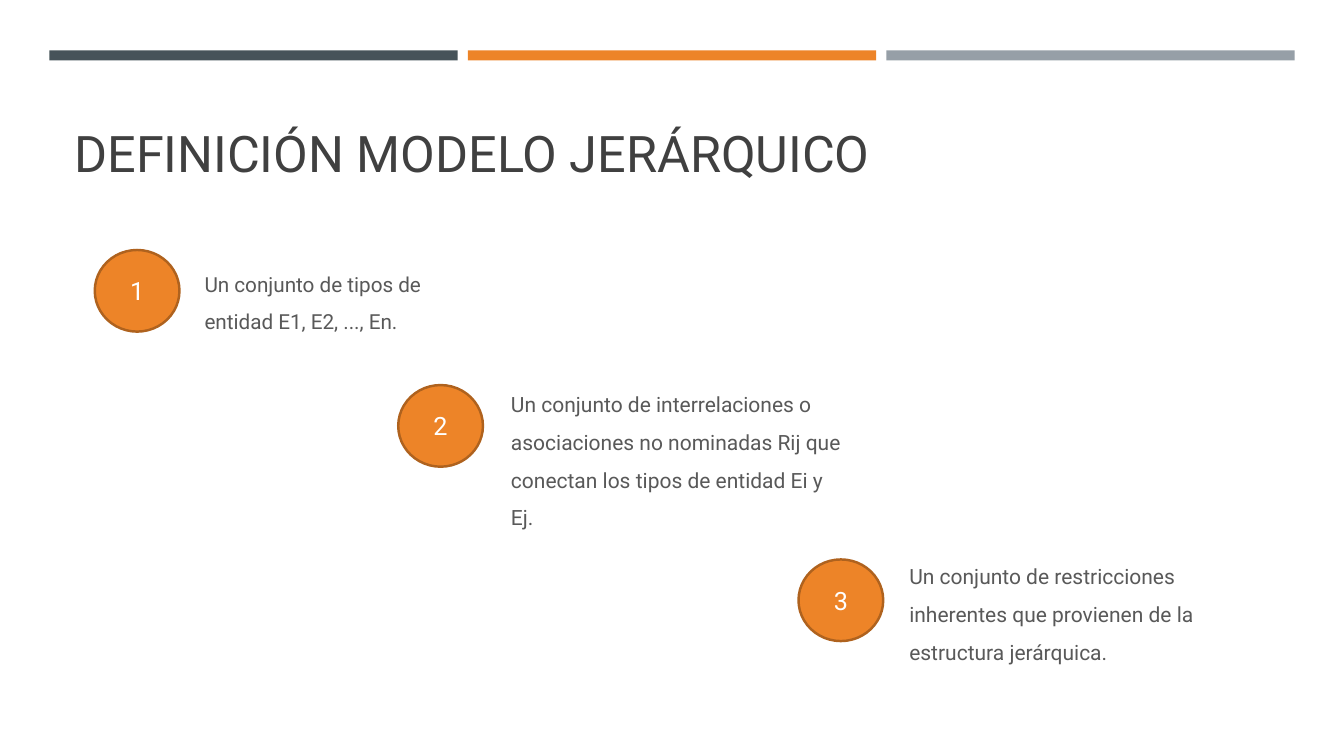
from pptx import Presentation
from pptx.dml.color import RGBColor
from pptx.enum.shapes import MSO_SHAPE
from pptx.enum.text import MSO_ANCHOR, PP_ALIGN
from pptx.util import Inches, Pt

SLATE = RGBColor(0x46, 0x53, 0x59)
ORANGE = RGBColor(0xED, 0x84, 0x28)
GRAY = RGBColor(0x96, 0x9F, 0xA7)
BROWN = RGBColor(0xAF, 0x62, 0x1E)
TITLE_COLOR = RGBColor(0x40, 0x40, 0x40)
BODY_COLOR = RGBColor(0x59, 0x59, 0x59)
WHITE = RGBColor(0xFF, 0xFF, 0xFF)


def write(shape, text, size=15, color=BODY_COLOR, spacing=1.5,
          align=PP_ALIGN.LEFT, anchor=MSO_ANCHOR.TOP):
    frame = shape.text_frame
    frame.word_wrap = True
    frame.vertical_anchor = anchor
    para = frame.paragraphs[0]
    para.alignment = align
    para.line_spacing = spacing
    span = para.add_run()
    span.text = text
    span.font.name = "Roboto"
    span.font.size = Pt(size)
    span.font.color.rgb = color


def add_filled(kind, left, top, width, height, color):
    shape = page.shapes.add_shape(
        kind, Inches(left), Inches(top), Inches(width), Inches(height))
    shape.shadow.inherit = False
    shape.fill.solid()
    shape.fill.fore_color.rgb = color
    shape.line.fill.background()
    return shape


deck = Presentation()
deck.slide_width = Inches(13.33)
deck.slide_height = Inches(7.5)
page = deck.slides.add_slide(deck.slide_layouts[6])

# Top bars
for index, color in enumerate([SLATE, ORANGE, GRAY]):
    add_filled(MSO_SHAPE.RECTANGLE, 0.49 + 4.15 * index, 0.5, 4.05, 0.1, color)

# Title
title = page.shapes.add_textbox(Inches(0.64), Inches(0.57), Inches(12.06), Inches(1.3))
write(title, "DEFINICIÓN MODELO JERÁRQUICO", size=36, color=TITLE_COLOR,
      spacing=0.9, anchor=MSO_ANCHOR.BOTTOM)

# Numbered statements: circle left and top, then text box and wording
statements = [
    (0.94, 2.48, (1.93, 2.52, 2.51, 0.93), 14.8,
     "Un conjunto de tipos de entidad E1, E2, ..., En."),
    (3.95, 3.82, (4.97, 3.71, 3.53, 1.54), 15,
     "Un conjunto de interrelaciones o asociaciones no nominadas Rij que "
     "conectan los tipos de entidad Ei y Ej."),
    (7.92, 5.55, (8.92, 5.42, 3.09, 1.54), 15,
     "Un conjunto de restricciones inherentes que provienen de "
     "la estructura jerárquica."),
]
for number, (left, top, area, size, text) in enumerate(statements, start=1):
    box = page.shapes.add_textbox(*[Inches(length) for length in area])
    write(box, text, size=size)
    circle = add_filled(MSO_SHAPE.FLOWCHART_CONNECTOR, left, top, 0.84, 0.81, ORANGE)
    circle.line.color.rgb = BROWN
    circle.line.width = Pt(1.75)
    write(circle, str(number), size=18, color=WHITE, spacing=1.0,
          align=PP_ALIGN.CENTER, anchor=MSO_ANCHOR.MIDDLE)

deck.save("out.pptx")
